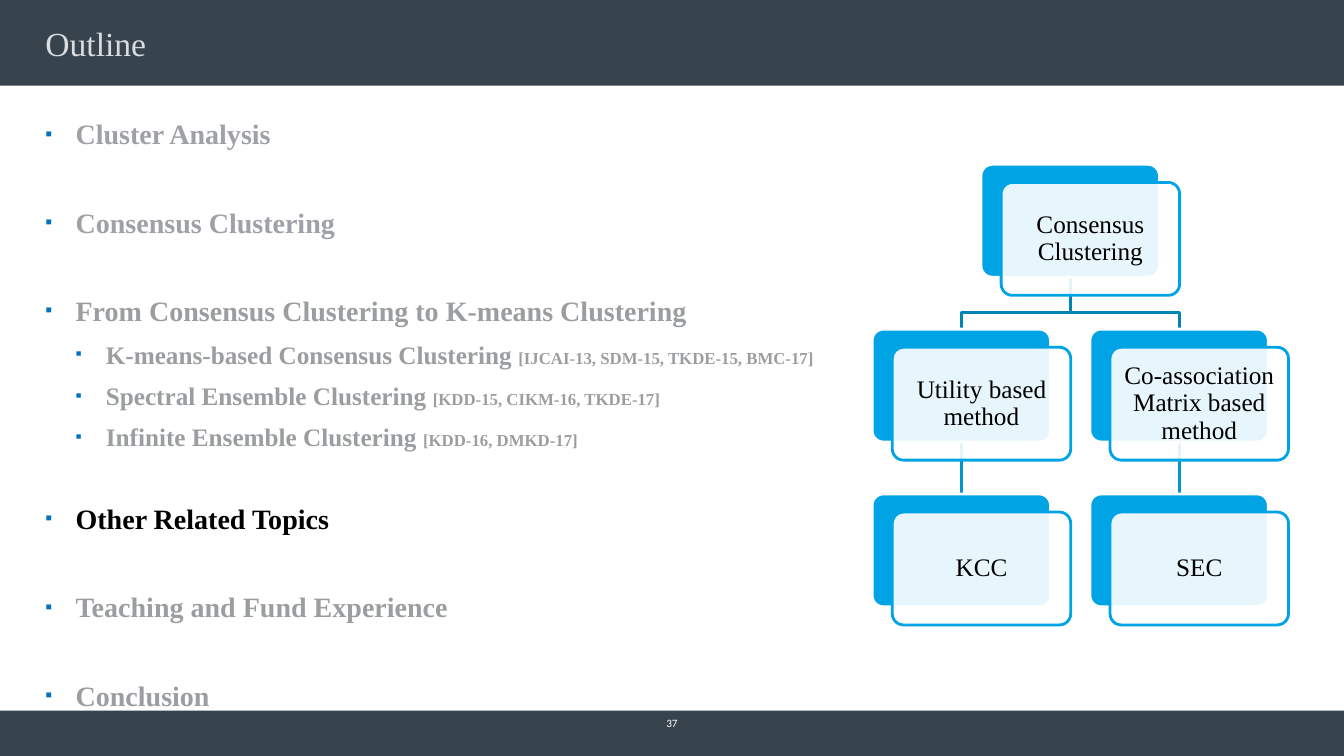
from dataclasses import dataclass
from typing import Optional

from lxml.etree import SubElement
from pptx import Presentation
from pptx.dml.color import RGBColor
from pptx.enum.shapes import MSO_CONNECTOR, MSO_SHAPE
from pptx.enum.text import MSO_ANCHOR, MSO_AUTO_SIZE, PP_ALIGN
from pptx.oxml.ns import qn
from pptx.util import Inches, Pt


@dataclass(frozen=True)
class Theme:
    serif: str = "Times New Roman"
    sans: str = "Calibri"
    bar: str = "37434D"
    title: str = "DADDE0"
    muted: str = "9EA1A5"
    muted_dark: str = "9B9EA0"
    black: str = "000000"
    white: str = "FFFFFF"
    bullet: str = "0070C0"
    card: str = "00A4E4"
    branch: str = "0083B7"
    stem: str = "0095CF"
    title_size: float = 24
    topic_size: float = 20
    node_size: float = 18
    subtopic_size: float = 18
    venue_size: float = 12
    number_size: float = 8
    line_width: float = 2


@dataclass(frozen=True)
class Topic:
    text: str
    color: str
    space_before: float = 39
    venues: str = ""
    level: int = 0


@dataclass(frozen=True)
class Node:
    text: str
    column: float
    row: int
    parent: Optional["Node"] = None


THEME = Theme()
SLIDE_WIDTH, SLIDE_HEIGHT = 13.33, 7.5
CARD_WIDTH, CARD_HEIGHT = 1.77, 1.12
TREE_LEFT, TREE_TOP = 8.65, 1.63
COLUMN_STEP, ROW_STEP = 2.16, 1.635
PANEL_SHIFT_X, PANEL_SHIFT_Y = 0.2, 0.18
BRANCH_DROP = 0.35

TOPICS = [
    Topic("Cluster Analysis", THEME.muted, 0),
    Topic("Consensus Clustering", THEME.muted),
    Topic("From Consensus Clustering to K-means Clustering", THEME.muted_dark),
    Topic("K-means-based Consensus Clustering ", THEME.muted_dark, 8.5,
          "[IJCAI-13, SDM-15, TKDE-15, BMC-17]", 1),
    Topic("Spectral Ensemble Clustering ", THEME.muted_dark, 8,
          "[KDD-15, CIKM-16, TKDE-17]", 1),
    Topic("Infinite Ensemble Clustering ", THEME.muted_dark, 8,
          "[KDD-16, DMKD-17]", 1),
    Topic("Other Related Topics", THEME.black, 35.5),
    Topic("Teaching and Fund Experience", THEME.muted_dark),
    Topic("Conclusion", THEME.muted_dark),
]

CONSENSUS = Node("Consensus Clustering", 0.5, 0)
UTILITY = Node("Utility based method", 0, 1, CONSENSUS)
MATRIX = Node("Co-association Matrix based method", 1, 1, CONSENSUS)
TREE = [CONSENSUS, UTILITY, Node("KCC", 0, 2, UTILITY),
        MATRIX, Node("SEC", 1, 2, MATRIX)]


def rgb(color: str) -> RGBColor:
    return RGBColor.from_string(color)


def write(paragraph, text: str, *, size: float, color: str,
          font: str = THEME.serif, bold: bool = False,
          align=PP_ALIGN.LEFT, spacing: float = 1.0) -> None:
    paragraph.alignment = align
    paragraph.line_spacing = spacing
    run = paragraph.add_run()
    run.text = text
    run.font.size, run.font.bold, run.font.name = Pt(size), bold, font
    run.font.color.rgb = rgb(color)


def set_frame(frame, anchor, inset_x: float = 0.12, inset_y: float = 0.06) -> None:
    frame.word_wrap = True
    frame.auto_size = MSO_AUTO_SIZE.NONE
    frame.vertical_anchor = anchor
    frame.margin_left = frame.margin_right = Inches(inset_x)
    frame.margin_top = frame.margin_bottom = Inches(inset_y)


def place(shape, left: float, top: float, width: float, height: float) -> None:
    shape.left, shape.top = Inches(left), Inches(top)
    shape.width, shape.height = Inches(width), Inches(height)


def add_box(slide, preset, left: float, top: float, width: float, height: float,
            fill: str, line: Optional[str] = None):
    box = slide.shapes.add_shape(preset, Inches(left), Inches(top),
                                 Inches(width), Inches(height))
    box.shadow.inherit = False
    box.fill.solid()
    box.fill.fore_color.rgb = rgb(fill)
    if line:
        box.line.color.rgb = rgb(line)
        box.line.width = Pt(THEME.line_width)
    else:
        box.line.fill.background()
    return box


def add_bullet(paragraph, level: int) -> None:
    properties = paragraph._p.get_or_add_pPr()
    properties.set("marL", str(Inches(0.3 * (level + 1))))
    properties.set("indent", str(Inches(-0.3)))
    tint = SubElement(properties, qn("a:buClr"))
    SubElement(tint, qn("a:srgbClr"), val=THEME.bullet)
    SubElement(properties, qn("a:buSzPct"), val="70000")
    SubElement(properties, qn("a:buFont"), typeface=THEME.serif)
    SubElement(properties, qn("a:buChar"), char="▪")


def fill_outline(frame, topics: list[Topic]) -> None:
    for index, topic in enumerate(topics):
        paragraph = frame.add_paragraph() if index else frame.paragraphs[0]
        paragraph.level = topic.level
        add_bullet(paragraph, topic.level)
        paragraph.space_before = Pt(topic.space_before)
        size = THEME.subtopic_size if topic.level else THEME.topic_size
        write(paragraph, topic.text, size=size, color=topic.color, bold=True)
        if topic.venues:
            write(paragraph, topic.venues, size=THEME.venue_size,
                  color=topic.color, bold=True)


def node_corner(node: Node) -> tuple[float, float]:
    return TREE_LEFT + node.column * COLUMN_STEP, TREE_TOP + node.row * ROW_STEP


def add_node(slide, node: Node):
    left, top = node_corner(node)
    card = add_box(slide, MSO_SHAPE.ROUNDED_RECTANGLE, left, top,
                   CARD_WIDTH, CARD_HEIGHT, THEME.card, THEME.white)
    panel = add_box(slide, MSO_SHAPE.ROUNDED_RECTANGLE, left + PANEL_SHIFT_X,
                    top + PANEL_SHIFT_Y, CARD_WIDTH, CARD_HEIGHT,
                    THEME.white, THEME.card)
    card.adjustments[0] = panel.adjustments[0] = 0.1
    tint = panel.fill._xPr.find(qn("a:solidFill")).find(qn("a:srgbClr"))
    SubElement(tint, qn("a:alpha"), val="90000")
    set_frame(panel.text_frame, MSO_ANCHOR.MIDDLE, 0.1, 0.1)
    write(panel.text_frame.paragraphs[0], node.text, size=THEME.node_size,
          color=THEME.black, align=PP_ALIGN.CENTER, spacing=0.9)
    return card


def add_link(slide, node: Node, cards: dict):
    """Join a node to its parent: straight below it, or by a stepped branch."""
    if node.column == node.parent.column:
        link = slide.shapes.add_connector(MSO_CONNECTOR.STRAIGHT, 0, 0, 0, 0)
        link.begin_connect(cards[node.parent], 2)
        link.end_connect(cards[node], 0)
        SubElement(link.element.spPr, qn("a:effectLst"))
        color = THEME.stem
    else:
        parent_left, parent_top = node_corner(node.parent)
        left, end_y = node_corner(node)
        start_x, end_x = parent_left + CARD_WIDTH / 2, left + CARD_WIDTH / 2
        start_y = parent_top + CARD_HEIGHT
        bend_y = start_y + BRANCH_DROP
        builder = slide.shapes.build_freeform(Inches(start_x), Inches(start_y))
        corners = [(start_x, bend_y), (end_x, bend_y), (end_x, end_y)]
        builder.add_line_segments([(Inches(x), Inches(y)) for x, y in corners],
                                  close=False)
        link = builder.convert_to_shape()
        link.fill.background()
        link.shadow.inherit = False
        color = THEME.branch
    link.line.color.rgb = rgb(color)
    link.line.width = Pt(THEME.line_width)
    return link


def main() -> None:
    deck = Presentation()
    deck.slide_width, deck.slide_height = Inches(SLIDE_WIDTH), Inches(SLIDE_HEIGHT)
    slide = deck.slides.add_slide(deck.slide_layouts[1])
    title, outline = slide.shapes.title, slide.placeholders[1]

    # Header and footer bars, behind the title
    for top, height in ((0, 0.85), (7.05, 0.45)):
        bar = add_box(slide, MSO_SHAPE.RECTANGLE, 0, top, SLIDE_WIDTH, height, THEME.bar)
        title.element.addprevious(bar.element)

    # Title and outline
    place(title, 0.33, 0.2, 12.66, 0.45)
    set_frame(title.text_frame, MSO_ANCHOR.MIDDLE)
    write(title.text_frame.paragraphs[0], "Outline", size=THEME.title_size,
          color=THEME.title)
    place(outline, 0.33, 1.1, 12.66, 5.67)
    set_frame(outline.text_frame, MSO_ANCHOR.TOP)
    fill_outline(outline.text_frame, TOPICS)

    # Slide number
    number = slide.shapes.add_textbox(Inches(6.11), Inches(7.08), Inches(1.11), Inches(0.18))
    set_frame(number.text_frame, MSO_ANCHOR.MIDDLE)
    write(number.text_frame.paragraphs[0], "37", size=THEME.number_size,
          color=THEME.white, font=THEME.sans, align=PP_ALIGN.CENTER)

    # Method tree, with links behind the cards
    cards = {node: add_node(slide, node) for node in TREE}
    for node in TREE:
        if node.parent:
            link = add_link(slide, node, cards)
            cards[CONSENSUS].element.addprevious(link.element)

    deck.save("out.pptx")


if __name__ == "__main__":
    main()
